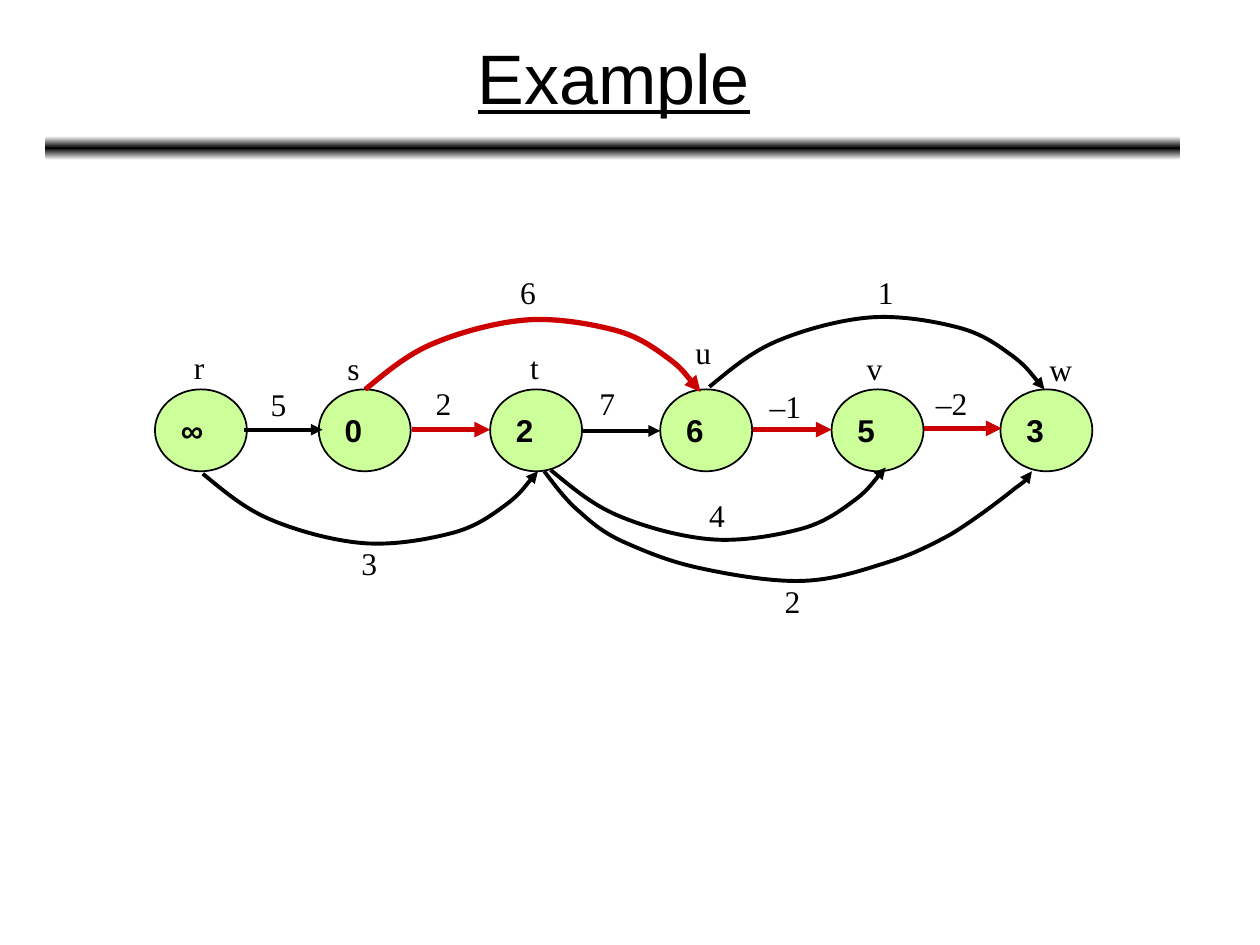
import copy

import pptx
import pptx.dml.color
import pptx.enum.dml
import pptx.enum.shapes
import pptx.enum.text
import pptx.oxml
import pptx.oxml.ns
import pptx.util

Inches, Pt = pptx.util.Inches, pptx.util.Pt
RGBColor = pptx.dml.color.RGBColor
SHAPE = pptx.enum.shapes.MSO_SHAPE
MIDDLE = pptx.enum.text.MSO_ANCHOR.MIDDLE
ALIGN = pptx.enum.text.PP_ALIGN
qn = pptx.oxml.ns.qn

BLACK = RGBColor(0x00, 0x00, 0x00)
WHITE = RGBColor(0xFF, 0xFF, 0xFF)
RED = RGBColor(0xCC, 0x00, 0x00)
GREEN = RGBColor(0xCC, 0xFF, 0x99)
LINE_WIDTH = {BLACK: 2.25, RED: 3}

# Content: vertices as (distance, left edge, name, name left, name top)
NODE_TOP, NODE_W, NODE_H = 3.09, 0.73, 0.65
NODES = [
    ("∞", 1.23, "r", 1.44, 2.68),
    ("0", 2.53, "s", 2.66, 2.69),
    ("2", 3.89, "t", 4.11, 2.68),
    ("6", 5.24, "u", 5.42, 2.56),
    ("5", 6.6, "v", 6.78, 2.69),
    ("3", 7.94, "w", 8.23, 2.7),
]

# Straight edges as (start x, y, colour); all have the same length
EDGE_LENGTH = 0.62
STRAIGHT_EDGES = [
    (1.94, 3.41, BLACK),
    (3.27, 3.41, RED),
    (4.62, 3.42, BLACK),
    (5.98, 3.41, RED),
    (7.33, 3.4, RED),
]

# Curved edges as (start x, y, direction, colour); -1 mirrors the arc downwards
ARC = [
    (0, 0), (0.16, -0.13), (0.32, -0.27), (0.53, -0.36),
    (0.74, -0.45), (1.03, -0.53), (1.27, -0.55),
    (1.51, -0.57), (1.79, -0.52), (1.98, -0.47),
    (2.17, -0.42), (2.29, -0.33), (2.4, -0.25),
    (2.51, -0.17), (2.58, -0.07), (2.66, 0.02),
]
ARC_EDGES = [
    (2.9, 3.09, 1, RED),
    (5.63, 3.07, 1, BLACK),
    (1.61, 3.76, -1, BLACK),
    (4.37, 3.73, -1, BLACK),
]
LONG_EDGE = [
    (4.32, 3.74), (4.41, 3.86), (4.5, 3.98), (4.61, 4.07),
    (4.72, 4.17), (4.81, 4.24), (4.97, 4.31),
    (5.13, 4.38), (5.32, 4.46), (5.56, 4.51),
    (5.79, 4.56), (6.13, 4.62), (6.38, 4.61),
    (6.62, 4.6), (6.83, 4.53), (7.02, 4.47),
    (7.22, 4.41), (7.36, 4.34), (7.53, 4.25),
    (7.7, 4.15), (7.94, 3.97), (8.05, 3.88),
    (8.16, 3.8), (8.18, 3.77), (8.19, 3.74),
]

# Edge weights as (text, left, top)
WEIGHTS = [
    ("5", 2.05, 2.98), ("2", 3.36, 2.97), ("7", 4.66, 2.97),
    ("–1", 6.01, 2.99), ("–2", 7.33, 2.97),
    ("6", 4.03, 2.09), ("1", 6.87, 2.09),
    ("3", 2.77, 4.24), ("2", 6.13, 4.54), ("4", 5.53, 3.86),
]


def set_text(sp, text, font, size, bold=False, align=ALIGN.LEFT):
    p = sp.text_frame.paragraphs[0]
    p.text = text
    p.alignment = align
    p.font.name, p.font.size, p.font.bold = font, Pt(size), bold
    p.font.color.rgb = BLACK
    return p


def add_label(s, text, left, top):
    width = 0.53 if len(text) > 1 else 0.37
    sp = s.shapes.add_textbox(Inches(left), Inches(top), Inches(width), Inches(0.5))
    sp.text_frame.word_wrap = False
    sp.text_frame.margin_top = Inches(0.08)
    set_text(sp, text, "Times New Roman", 18)


def style_arrow(sp, color):
    sp.line.color.rgb = color
    sp.line.width = Pt(LINE_WIDTH[color])
    ln = sp.line._get_or_add_ln()
    ln.append(pptx.oxml.parse_xml(
        '<a:tailEnd xmlns:a="http://schemas.openxmlformats.org/drawingml/2006/main"'
        ' type="triangle"/>'))


def add_curve(s, points, color):
    """Draw Bezier segments through a start point and triples of points."""
    points = [(Inches(x), Inches(y)) for x, y in points]
    builder = s.shapes.build_freeform(*points[0])
    builder.add_line_segments(points[1:], close=False)
    sp = builder.convert_to_shape()
    lines = list(sp._element.iter(qn("a:lnTo")))
    for i in range(0, len(lines), 3):
        curve = lines[i].makeelement(qn("a:cubicBezTo"))
        lines[i].addprevious(curve)
        for line in lines[i:i + 3]:
            curve.append(line[0])
            line.getparent().remove(line)
    sp.fill.background()
    sp.shadow.inherit = False
    style_arrow(sp, color)


prs = pptx.Presentation()
prs.slide_width, prs.slide_height = Inches(10), Inches(7.5)
s = prs.slides.add_slide(prs.slide_layouts[5])

# Title
title = s.shapes.title
title.left, title.top = Inches(0.37), Inches(0.11)
title.width, title.height = Inches(9), Inches(0.99)
title.text_frame.vertical_anchor = MIDDLE
set_text(title, "Example", "Arial", 40, align=ALIGN.CENTER).font.underline = True

# Gradient rule under the title
rule = s.shapes.add_shape(SHAPE.ROUNDED_RECTANGLE, Inches(0.36), Inches(1.08),
                          Inches(9.01), Inches(0.19))
rule.shadow.inherit = False
rule.line.fill.background()
rule.fill.gradient()
rule.fill.gradient_angle = 90
first, last = rule.fill.gradient_stops
first.color.rgb, first.position = WHITE, 0
last.color.rgb, last.position = BLACK, 0.5
stops = rule._element.spPr.find(".//" + qn("a:gsLst"))
stops.append(copy.deepcopy(stops[0]))
rule.fill.gradient_stops[2].position = 1

# Vertices
for distance, left, name, name_left, name_top in NODES:
    sp = s.shapes.add_shape(SHAPE.OVAL, Inches(left), Inches(NODE_TOP),
                            Inches(NODE_W), Inches(NODE_H))
    sp.shadow.inherit = False
    sp.fill.solid()
    sp.fill.fore_color.rgb = GREEN
    sp.line.color.rgb, sp.line.width = BLACK, Pt(1)
    sp.text_frame.word_wrap = False
    sp.text_frame.vertical_anchor = MIDDLE
    set_text(sp, distance, "Arial", 18, bold=True)
    add_label(s, name, name_left, name_top)

# Edges
for x, y, color in STRAIGHT_EDGES:
    edge = s.shapes.add_connector(pptx.enum.shapes.MSO_CONNECTOR.STRAIGHT, Inches(x),
                                  Inches(y), Inches(x + EDGE_LENGTH), Inches(y))
    style_arrow(edge, color)
    edge._element.spPr.append(edge._element.makeelement(qn("a:effectLst")))
for x, y, direction, color in ARC_EDGES:
    add_curve(s, [(x + dx, y + direction * dy) for dx, dy in ARC], color)
add_curve(s, LONG_EDGE, BLACK)

# Weights
for text, left, top in WEIGHTS:
    add_label(s, text, left, top)

prs.save("out.pptx")
